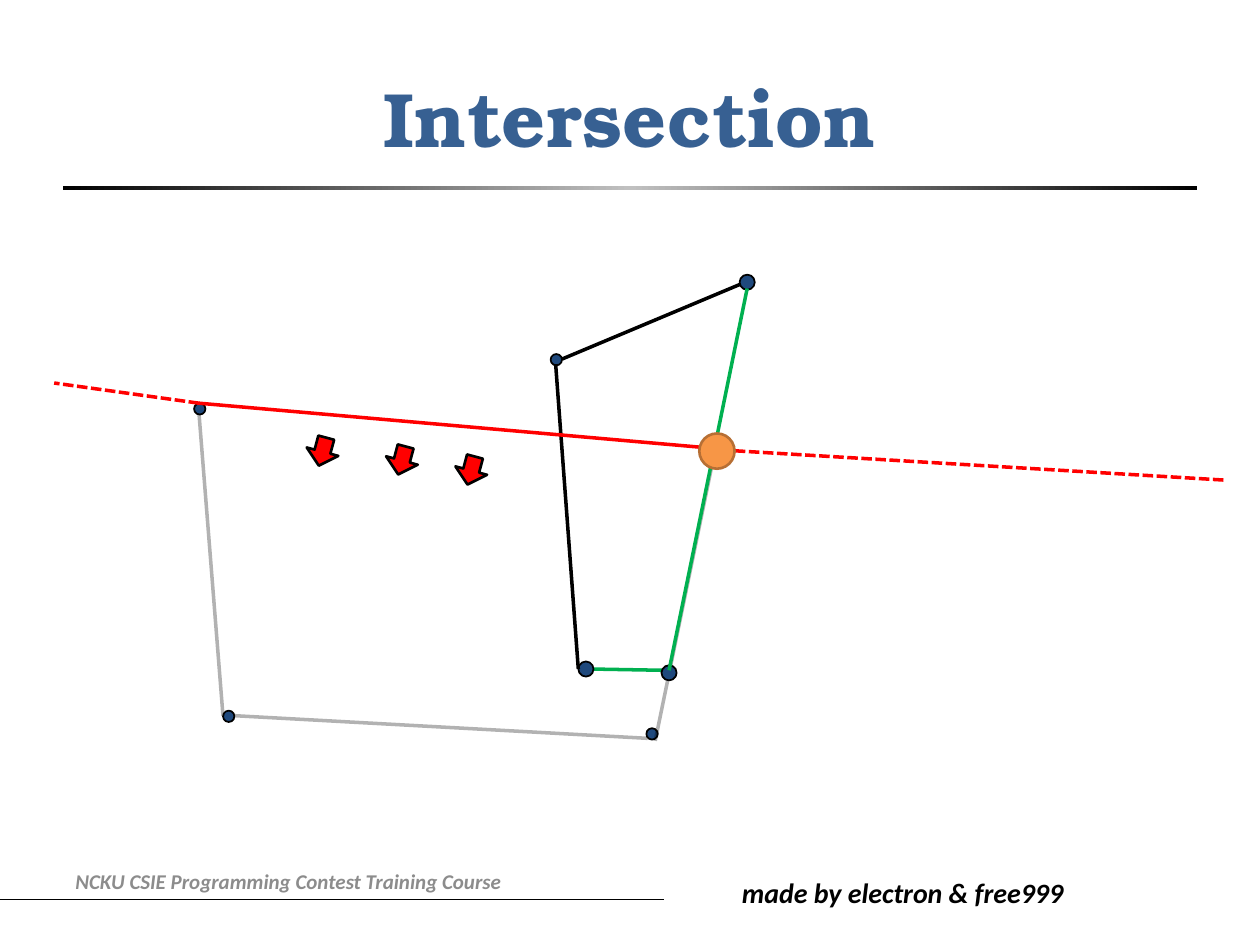
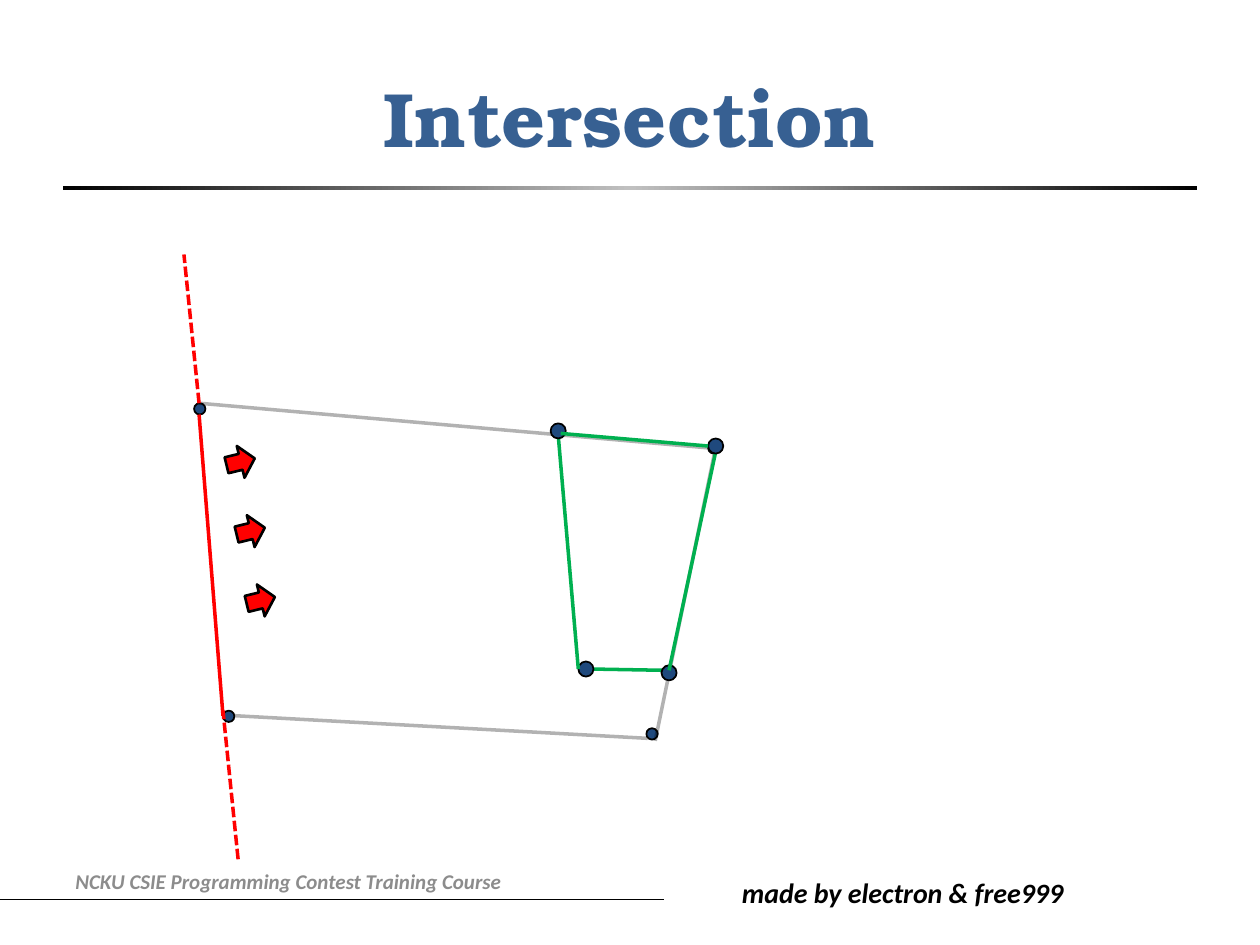
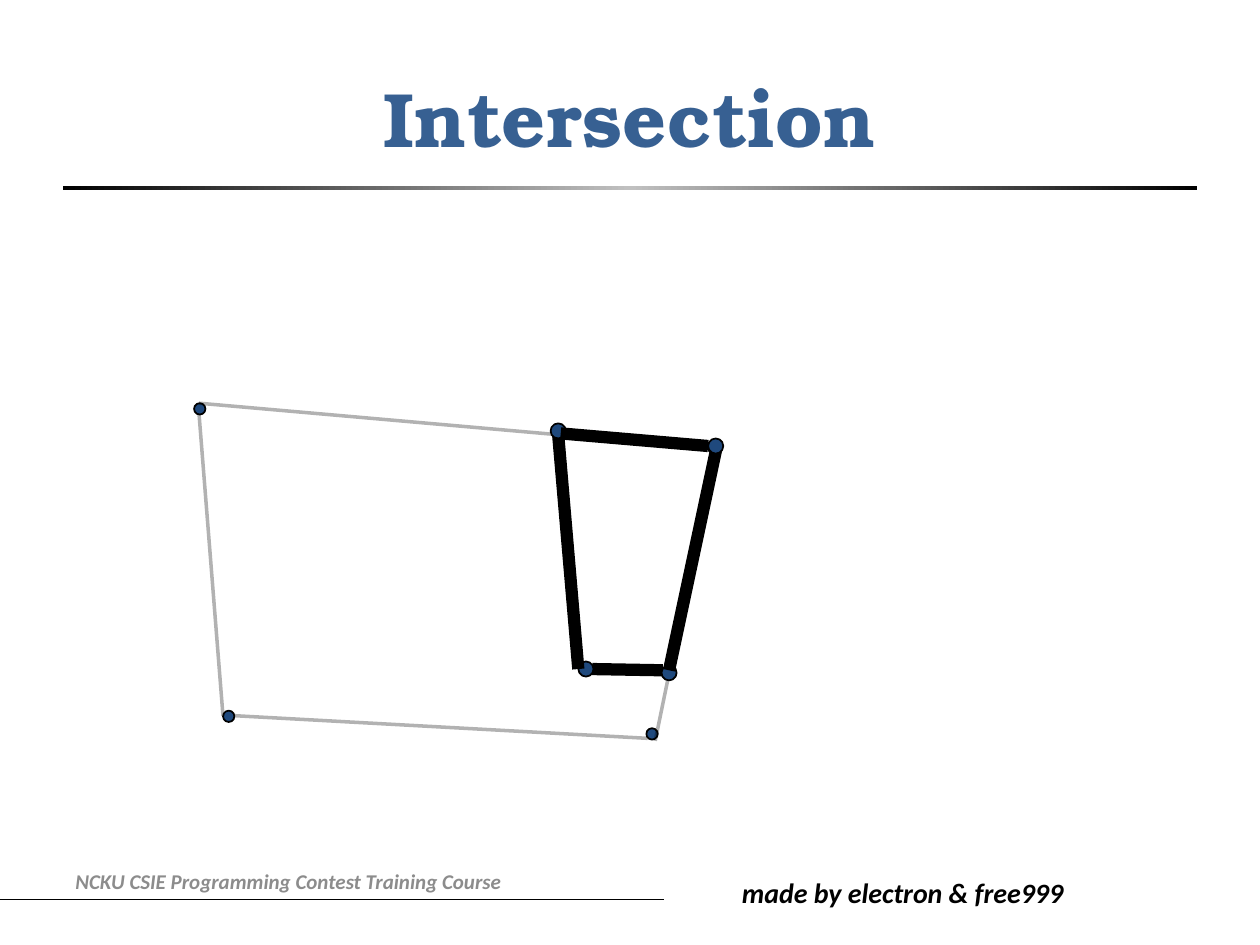
import copy

import lxml.etree
import pptx
import pptx.dml.color
import pptx.enum.dml
import pptx.enum.shapes
import pptx.enum.text
import pptx.oxml.ns
import pptx.util

Inches = pptx.util.Inches
RGBColor = pptx.dml.color.RGBColor
MSO_SHAPE = pptx.enum.shapes.MSO_SHAPE
MSO_ANCHOR = pptx.enum.text.MSO_ANCHOR
PP_ALIGN = pptx.enum.text.PP_ALIGN

BLACK = RGBColor(0x00, 0x00, 0x00)
SILVER = RGBColor(0xC0, 0xC0, 0xC0)
FOOTER_GRAY = RGBColor(0x8C, 0x8C, 0x8C)
TITLE_BLUE = RGBColor(0x37, 0x60, 0x92)
DOT_BLUE = RGBColor(0x1F, 0x49, 0x7D)
RED = RGBColor(0xFF, 0x00, 0x00)
GREEN = RGBColor(0x00, 0xB0, 0x50)
ORANGE = RGBColor(0xF7, 0x96, 0x46)
DARK_ORANGE = RGBColor(0xB7, 0x6F, 0x34)

TITLE = "Intersection"
COURSE = "NCKU CSIE Programming Contest Training Course"
CREDIT = "made by electron & free999"
TITLE_FONT = "TeX Gyre Bonum"
FOOTER_FONT = "Calibri"

SMALL, LARGE, HIT = 0.09, 0.12, 0.28
ARROW_WIDTH, ARROW_HEIGHT = 0.26, 0.23

FADED = {"color": BLACK, "opacity": 30}
OUTLINE = {"color": BLACK}
THICK = {"color": BLACK, "width": 7}
KEPT = {"color": GREEN}
CUT = {"color": RED}
CUT_EXTENSION = {"color": RED, "dashed": True}

EDGES = {
    "outer bottom": ((1.86, 5.68), (5.14, 5.86)),
    "outer right": ((5.67, 3.6), (5.2, 5.88)),
    "outer left": ((1.58, 3.29), (1.77, 5.68)),
    "outer top": ((5.68, 3.56), (1.58, 3.2)),
    "inner bottom": ((4.7, 5.31), (5.26, 5.32)),
    "inner left": ((4.43, 3.45), (4.59, 5.31)),
    "inner right": ((5.69, 3.54), (5.31, 5.32)),
    "inner top": ((4.45, 3.44), (5.62, 3.54)),
    "peak top": ((4.46, 2.85), (5.89, 2.25)),
    "peak left": ((4.41, 2.89), (4.59, 5.31)),
    "peak right": ((5.93, 2.29), (5.31, 5.32)),
    "beyond right": ((9.71, 3.81), (5.7, 3.57)),
    "beyond left": ((1.58, 3.2), (0.43, 3.04)),
    "beyond top": ((1.58, 3.2), (1.46, 2.02)),
    "beyond bottom": ((1.89, 6.82), (1.77, 5.64)),
}
OUTER_CORNERS = {
    "lower right": (5.13, 5.78),
    "upper right": (5.62, 3.51),
    "upper left": (1.54, 3.2),
    "lower left": (1.77, 5.64),
}
INNER_LOWER_LEFT = (4.59, 5.25)
INNER_LOWER_RIGHT = (5.25, 5.28)
INNER_UPPER_LEFT = (4.37, 3.36)
INNER_UPPER_RIGHT = (5.62, 3.48)
PEAK_LEFT = (4.37, 2.81)
PEAK_RIGHT = (5.87, 2.18)
HIT_POINT = (5.55, 3.44)

DOWNWARD_ARROWS = [(3.61, 3.62), (3.06, 3.54), (2.43, 3.47)]
RIGHTWARD_ARROWS = [(1.78 + 0.08 * step, 3.55 + 0.55 * step) for step in range(3)]


def add_text(slide, text, left, top, width, height, *, font, size, color,
             italic=False, align=PP_ALIGN.LEFT, anchor=MSO_ANCHOR.TOP):
    box = slide.shapes.add_textbox(Inches(left), Inches(top), Inches(width), Inches(height))
    frame = box.text_frame
    frame.word_wrap = True
    frame.vertical_anchor = anchor
    paragraph = frame.paragraphs[0]
    paragraph.alignment = align
    run = paragraph.add_run()
    run.text = text
    run.font.name = font
    run.font.size = pptx.util.Pt(size)
    run.font.bold = True
    run.font.italic = italic
    run.font.color.rgb = color


def add_line(slide, start, end, *, color, width=2, dashed=False, opacity=100):
    connector = slide.shapes.add_connector(
        pptx.enum.shapes.MSO_CONNECTOR.STRAIGHT, *map(Inches, start + end))
    connector.line.color.rgb = color
    connector.line.width = pptx.util.Pt(width)
    if dashed:
        connector.line.dash_style = pptx.enum.dml.MSO_LINE.SQUARE_DOT
    properties = connector._element.spPr
    qualified = pptx.oxml.ns.qn
    if opacity < 100:
        color_element = properties.find(".//" + qualified("a:srgbClr"))
        lxml.etree.SubElement(color_element, qualified("a:alpha"), val=str(opacity * 1000))
    lxml.etree.SubElement(properties, qualified("a:effectLst"))


def add_edge(slide, name, style):
    add_line(slide, *EDGES[name], **style)


def add_shape(slide, kind, position, width, height, *, fill, line, line_width, rotation=0):
    shape = slide.shapes.add_shape(kind, *map(Inches, position + (width, height)))
    shape.shadow.inherit = False
    shape.fill.solid()
    shape.fill.fore_color.rgb = fill
    shape.line.color.rgb = line
    shape.line.width = pptx.util.Pt(line_width)
    shape.rotation = rotation


def add_dot(slide, position, size=LARGE, fill=DOT_BLUE, line=BLACK, line_width=1):
    add_shape(slide, MSO_SHAPE.OVAL, position, size, size,
              fill=fill, line=line, line_width=line_width)


def add_arrows(slide, positions, rotation):
    for position in positions:
        add_shape(slide, MSO_SHAPE.DOWN_ARROW, position, ARROW_WIDTH, ARROW_HEIGHT,
                  fill=RED, line=BLACK, line_width=1.5, rotation=rotation)


def add_title_rule(slide):
    rule = slide.shapes.add_shape(
        MSO_SHAPE.RECTANGLE, Inches(0.5), Inches(1.48), Inches(9), Inches(0.03))
    rule.shadow.inherit = False
    rule.line.fill.background()
    rule.fill.gradient()
    rule.fill.gradient_angle = 0
    stop_list = rule._element.spPr.find(".//" + pptx.oxml.ns.qn("a:gsLst"))
    stop_list.insert(1, copy.deepcopy(stop_list[0]))
    stops = zip(rule.fill.gradient_stops, (0, 0.5, 1), (BLACK, SILVER, BLACK))
    for stop, position, color in stops:
        stop.position = position
        stop.color.rgb = color


def add_base_slide(presentation):
    slide = presentation.slides.add_slide(presentation.slide_layouts[6])
    add_line(slide, (0, 7.14), (5.27, 7.14), color=BLACK, width=0.5)
    add_text(slide, CREDIT, 5.79, 6.9, 3.04, 0.37, font=FOOTER_FONT, size=16,
             color=BLACK, italic=True)
    add_title_rule(slide)
    add_text(slide, TITLE, 0.5, 0.3, 9, 1.25, font=TITLE_FONT, size=44,
             color=TITLE_BLUE, align=PP_ALIGN.CENTER, anchor=MSO_ANCHOR.MIDDLE)
    add_text(slide, COURSE, 0.5, 6.79, 4.66, 0.4, font=FOOTER_FONT, size=12,
             color=FOOTER_GRAY, italic=True, anchor=MSO_ANCHOR.MIDDLE)
    return slide


def add_outer_polygon(slide, left=FADED, top=FADED):
    add_dot(slide, OUTER_CORNERS["lower right"], SMALL)
    add_edge(slide, "outer bottom", FADED)
    for corner in ("upper right", "upper left", "lower left"):
        add_dot(slide, OUTER_CORNERS[corner], SMALL)
    add_edge(slide, "outer right", FADED)
    add_edge(slide, "outer left", left)
    add_edge(slide, "outer top", top)


def add_clipped_polygon(slide, inner, outer_left=FADED):
    add_edge(slide, "inner bottom", inner)
    add_dot(slide, INNER_LOWER_LEFT)
    add_edge(slide, "inner left", inner)
    add_outer_polygon(slide, left=outer_left)
    add_dot(slide, INNER_LOWER_RIGHT)
    add_edge(slide, "inner right", inner)
    add_dot(slide, INNER_UPPER_LEFT)
    add_dot(slide, INNER_UPPER_RIGHT)
    add_edge(slide, "inner top", inner)


def add_top_cut_slide(presentation):
    slide = add_base_slide(presentation)
    add_edge(slide, "inner bottom", KEPT)
    add_dot(slide, PEAK_LEFT, SMALL)
    add_dot(slide, INNER_LOWER_LEFT)
    add_edge(slide, "peak top", OUTLINE)
    add_edge(slide, "peak left", OUTLINE)
    add_outer_polygon(slide, top=CUT)
    add_edge(slide, "beyond right", CUT_EXTENSION)
    add_dot(slide, INNER_LOWER_RIGHT)
    add_dot(slide, PEAK_RIGHT)
    add_edge(slide, "beyond left", CUT_EXTENSION)
    add_edge(slide, "peak right", KEPT)
    add_arrows(slide, DOWNWARD_ARROWS, 14.9)
    add_dot(slide, HIT_POINT, HIT, fill=ORANGE, line=DARK_ORANGE, line_width=1.5)


def add_left_cut_slide(presentation):
    slide = add_base_slide(presentation)
    add_clipped_polygon(slide, KEPT, outer_left=CUT)
    add_edge(slide, "beyond top", CUT_EXTENSION)
    add_edge(slide, "beyond bottom", CUT_EXTENSION)
    add_arrows(slide, RIGHTWARD_ARROWS, 256.3)


def add_result_slide(presentation):
    slide = add_base_slide(presentation)
    add_clipped_polygon(slide, THICK)


def main():
    presentation = pptx.Presentation()
    presentation.slide_width = Inches(10)
    presentation.slide_height = Inches(7.5)
    add_top_cut_slide(presentation)
    add_left_cut_slide(presentation)
    add_result_slide(presentation)
    presentation.save("out.pptx")


if __name__ == "__main__":
    main()
